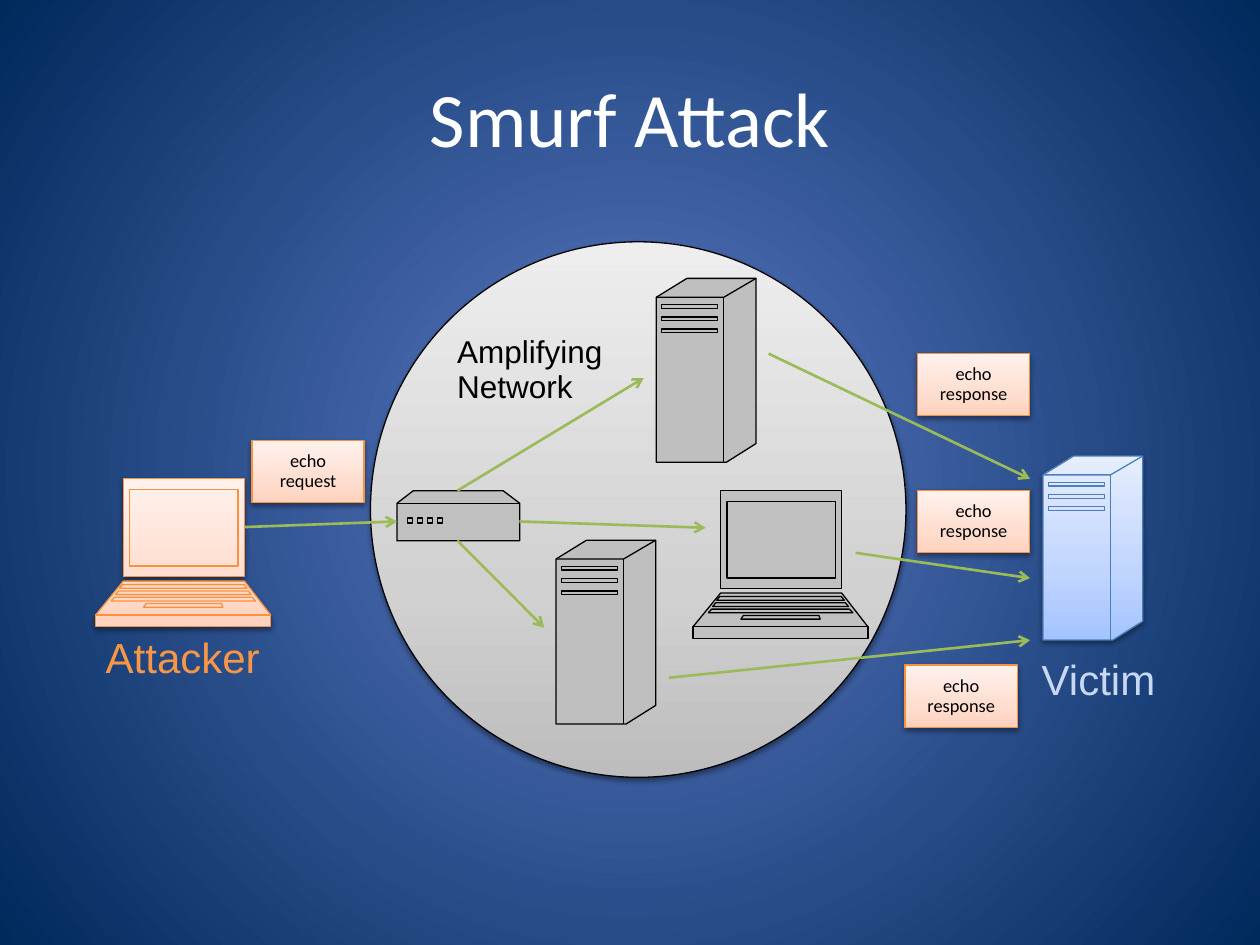
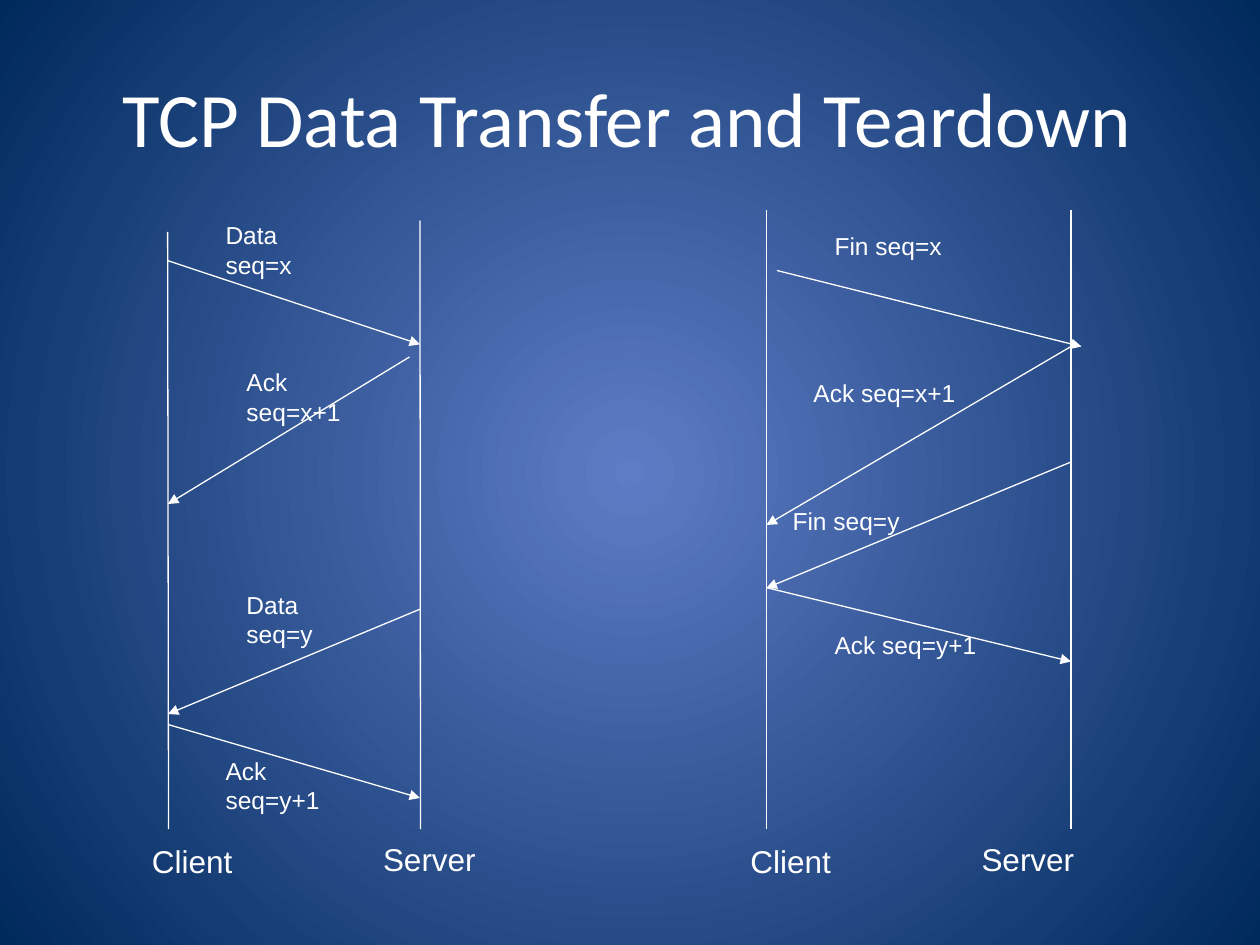
from copy import deepcopy

from lxml import etree
from pptx import Presentation
from pptx.dml.color import RGBColor
from pptx.enum.shapes import MSO_CONNECTOR, MSO_SHAPE
from pptx.enum.text import MSO_ANCHOR, MSO_AUTO_SIZE, PP_ALIGN
from pptx.oxml import parse_xml
from pptx.oxml.ns import nsdecls, qn
from pptx.util import Pt

OVAL, RECT = MSO_SHAPE.OVAL, MSO_SHAPE.RECTANGLE
STRAIGHT = MSO_CONNECTOR.STRAIGHT
LEFT, CENTER = PP_ALIGN.LEFT, PP_ALIGN.CENTER
TOP, MIDDLE = MSO_ANCHOR.TOP, MSO_ANCHOR.MIDDLE
FIT_SHAPE, FIXED = MSO_AUTO_SIZE.SHAPE_TO_FIT_TEXT, MSO_AUTO_SIZE.NONE

COLORS = {
    "white": "FFFFFF", "black": "000000", "glow": "5E7CC5", "navy": "00295C",
    "hub": "C0C0C0", "server": "BFBFBF", "arrow": "9BBB59",
    "attacker": "F79646", "attacker_line": "F69240",
    "victim": "C6D9F1", "victim_line": "4B7EBC",
}
GRADIENTS = {
    "backdrop": [(0, COLORS["glow"]), (100, COLORS["navy"])],
    "network": [(0, "BDBDBD"), (35, "D1D1D1"), (100, "EEEEEE")],
    "attacker": [(0, "FFD2BD"), (35, "FFDED0"), (100, "FFF2ED")],
    "victim": [(0, "A4C4FF"), (35, "BFD4FF"), (100, "E6EEFF")],
}
UPWARD = '<a:lin ang="16200000" scaled="0"/>'
FROM_CENTER = ('<a:path path="circle"><a:fillToRect l="50000" t="50000" '
               'r="50000" b="50000"/></a:path>')

TITLE_BOX = (36, 21.6, 648, 90)

# Smurf attack slide
NETWORK_BOX = (211.7, 138.2, 306, 306)
DEVICES = [  # kind, left, top, fill, line
    ("laptop", 54.7, 273.6, "attacker", "attacker_line"),
    ("hub", 226.8, 280.4, "hub", "black"),
    ("server", 596, 260.6, "victim", "victim_line"),
    ("server", 317.7, 308.7, "server", "black"),
    ("server", 375, 159.1, "server", "black"),
    ("laptop", 396, 280.4, "hub", "black"),
]
ATTACK_ARROWS = [
    (261.4, 280.4, 367.8, 216), (139.7, 301.2, 226.8, 298),
    (296.8, 298, 403.2, 301.6), (439.2, 202.1, 588.6, 273.6),
    (261.4, 308.9, 311, 358.7), (488.9, 315.9, 588.6, 330.4),
    (382.3, 387.3, 588.6, 365.8),
]
CAPTIONS = [  # text, box, size, colour, align, wrap
    ("Attacker", (52.6, 360, 103.7, 34.6), 24, "attacker", CENTER, False),
    ("Victim", (588.2, 372.2, 79.9, 34.6), 24, "victim", LEFT, False),
    ("Amplifying\nNetwork", (254.2, 187.9, 149, 56.9), 18, "black", LEFT, True),
]
PACKET_SIZE = (64.1, 35.6)
PACKETS = [  # \v is a line break
    ("echo\vrequest", 144, 251.7), ("echo\vresponse", 524.3, 202),
    ("echo\vresponse", 517.2, 380), ("echo\vresponse", 524.3, 280.2),
]

# TCP slide
LIFELINES = [
    (95.8, 132.5, 96.3, 473.8), (240, 126, 240.3, 473.8),
    (438, 120, 438, 473.8), (612, 120, 612, 473.8),
]
MESSAGES = [  # text, label left, top, width, height, arrow
    ("Data seq=x", 126, 126, 72, 40.3, (96, 149, 240, 196.8)),
    ("Ack seq=x+1", 138, 210, 72, 40.3, (234, 204, 96, 288)),
    ("Data seq=y", 138, 337.2, 72, 40.3, (240.3, 348, 96, 408)),
    ("Ack seq=y+1", 126, 432, 72, 40.3, (96, 414, 240, 456)),
    ("Fin seq=x", 474, 132, 96, 24.5, (444, 154.6, 618, 198)),
    ("Ack seq=x+1", 462, 216, 102, 24.5, (612, 198, 438, 300)),
    ("Fin seq=y", 450, 289.2, 120, 24.5, (612, 264, 438, 336)),
    ("Ack seq=y+1", 474, 360, 108, 24.5, (438, 335.8, 612, 378)),
]
HOSTS = [("Client", 84, 481), ("Server", 216, 480),
         ("Client", 426, 481), ("Server", 558, 480)]


def trapezoid(top_left, top_right, bottom_left, bottom_right, top, bottom):
    """Return the closed outline of a flat-topped quadrilateral."""
    return [(top_left, top), (top_right, top), (bottom_right, bottom),
            (bottom_left, bottom), (top_left, top)]


def box_outline(left, top, width, height):
    """Return the closed outline of a rectangle."""
    return trapezoid(left, left + width, left, left + width, top, top + height)


# Outlines in points from the device's corner: filled parts, then line details
DEVICE_PARTS = {
    "laptop": (
        [trapezoid(15.8, 85, 15.8, 85, 0, 55.8),
         trapezoid(15.8, 85, 0, 100, 58.5, 77.8),
         trapezoid(0, 100, 0, 100, 77.8, 84.4)],
        [trapezoid(19.4, 81.4, 19.4, 81.4, 6, 49.9),
         trapezoid(15.3, 84.8, 13.6, 86.5, 60.5, 62.6),
         trapezoid(13, 87.1, 11.3, 88.9, 64.1, 66.2),
         trapezoid(10.7, 89.4, 8.8, 91.4, 67.7, 69.8),
         trapezoid(28.8, 72, 27.4, 72.7, 71.3, 73.4)]),
    "server": (
        [[(0, 10.8), (17.5, 0), (57, 0), (57, 94.4), (40, 105.1),
          (0, 105.1), (0, 10.8)]],
        [[(0, 10.8), (38.6, 10.8), (57, 0)], [(38.6, 10.8), (38.6, 105.1)]]
        + [box_outline(3.1, 15 + 7 * slot, 32, 2.1) for slot in range(3)]),
    "hub": (
        [[(0, 7.2), (9.4, 0), (60.7, 0), (70.2, 7.2), (70.2, 28.6),
          (0, 28.6), (0, 7.2)]],
        [[(0, 7.2), (70.2, 7.2)]]
        + [box_outline(6 + 5.7 * lamp, 15.6, 2.9, 2.9) for lamp in range(4)]),
}


def rgb(name):
    """Look up a palette colour."""
    return RGBColor.from_string(COLORS[name])


def points(values):
    """Turn numbers into lengths in points."""
    return [Pt(value) for value in values]


def set_gradient(fill, properties, name, direction):
    """Put a named gradient in place of the fill held by properties."""
    fill.solid()
    stops = "".join(f'<a:gs pos="{pos * 1000}"><a:srgbClr val="{color}"/></a:gs>'
                    for pos, color in GRADIENTS[name])
    gradient = parse_xml(f'<a:gradFill {nsdecls("a")} rotWithShape="1">'
                         f'<a:gsLst>{stops}</a:gsLst>{direction}</a:gradFill>')
    properties.replace(properties.find(qn("a:solidFill")), gradient)


def style_shape(shape, fill, line):
    """Set fill and outline; gradient shapes also cast a soft shadow."""
    shape.line.color.rgb = rgb(line)
    shape.line.width = Pt(0.75)
    shape.shadow.inherit = False
    if fill not in GRADIENTS:
        shape.fill.solid()
        shape.fill.fore_color.rgb = rgb(fill)
        return
    properties = shape.element.spPr
    set_gradient(shape.fill, properties, fill, UPWARD)
    properties.find(qn("a:effectLst")).append(parse_xml(
        f'<a:outerShdw {nsdecls("a")} blurRad="{Pt(3.1)}" dist="{Pt(1.6)}" '
        'dir="5400000" rotWithShape="0"><a:srgbClr val="000000">'
        '<a:alpha val="38000"/></a:srgbClr></a:outerShdw>'))


def write_text(shape, text, *, size, color="white", font="Arial", align=LEFT,
               anchor=TOP, wrap=True, fit=FIXED, spacing=1.0, before=0,
               insets=(7.2, 3.6, 7.2, 3.6)):
    """Fill a shape with text, one paragraph for each line."""
    frame = shape.text_frame
    frame.word_wrap, frame.auto_size = wrap, fit
    frame.vertical_anchor = anchor
    (frame.margin_left, frame.margin_top,
     frame.margin_right, frame.margin_bottom) = points(insets)
    frame.text = text
    for paragraph in frame.paragraphs:
        paragraph.alignment = align
        paragraph.line_spacing = spacing
        paragraph.space_before = Pt(before)
        for run in paragraph.runs:
            run.font.size, run.font.name = Pt(size), font
            run.font.color.rgb = rgb(color)


def add_label(slide, text, box, **style):
    """Add a text box."""
    write_text(slide.shapes.add_textbox(*points(box)), text, **style)


def add_line(slide, ends, color="white", width=0.75, head=None):
    """Add a straight line, with an arrowhead at its end if one is named."""
    line = slide.shapes.add_connector(STRAIGHT, *points(ends))
    line.line.color.rgb = rgb(color)
    line.line.width = Pt(width)
    etree.SubElement(line.element.spPr, qn("a:effectLst"))
    if head:
        etree.SubElement(line.get_or_add_ln(), qn("a:tailEnd"), type=head)


def add_device(slide, kind, left, top, fill, line):
    """Draw a device as one freeform with a separate path per outline."""
    bodies, details = DEVICE_PARTS[kind]
    outlines = [[(Pt(left + x), Pt(top + y)) for x, y in outline]
                for outline in bodies + details]
    builder = slide.shapes.build_freeform(*outlines[0][0], scale=1.0)
    for number, outline in enumerate(outlines):
        if number:
            builder.move_to(*outline[0])
        builder.add_line_segments(outline[1:], close=outline[0] == outline[-1])
    device = builder.convert_to_shape()
    style_shape(device, fill, line)

    whole = device.element.find(".//" + qn("a:path"))
    path_list = whole.getparent()
    empty = deepcopy(whole)
    for step in list(empty):
        empty.remove(step)
    for step in list(whole):
        if step.tag == qn("a:moveTo"):
            part = deepcopy(empty)
            path_list.append(part)
            if len(path_list) - 1 > len(bodies):
                part.set("fill", "none")
        part.append(step)
    path_list.remove(whole)


def add_slide(deck, title, insets=(7.2, 3.6, 7.2, 3.6)):
    """Add a blank slide with the shared title style."""
    slide = deck.slides.add_slide(deck.slide_layouts[6])
    add_label(slide, title, TITLE_BOX, size=44, font="Calibri", align=CENTER,
              anchor=MIDDLE, insets=insets)
    return slide


def build_smurf_slide(deck):
    """Show the attacker, the amplifying network and the victim."""
    slide = add_slide(deck, "Smurf Attack")
    network = slide.shapes.add_shape(OVAL, *points(NETWORK_BOX))
    style_shape(network, "network", "black")
    for device in DEVICES:
        add_device(slide, *device)
    for ends in ATTACK_ARROWS:
        add_line(slide, ends, "arrow", 1.5, "arrow")
    for text, box, size, color, align, wrap in CAPTIONS:
        add_label(slide, text, box, size=size, color=color, align=align,
                  wrap=wrap, fit=FIT_SHAPE, spacing=0.93)
    for text, left, top in PACKETS:
        packet = slide.shapes.add_shape(RECT, *points((left, top) + PACKET_SIZE))
        style_shape(packet, "attacker", "attacker_line")
        write_text(packet, text, size=10.5, color="black", font="Calibri",
                   align=CENTER, anchor=MIDDLE, spacing=0.93)


def build_tcp_slide(deck):
    """Show the two message sequences between client and server."""
    slide = add_slide(deck, "TCP Data Transfer and Teardown",
                      insets=(7.2, 3.6, 10, 3.6))
    label_insets = (2.9, 0, 2.9, 0)
    for ends in LIFELINES:
        add_line(slide, ends)
    for text, left, top, width, height, ends in MESSAGES:
        add_line(slide, ends, head="triangle")
        add_label(slide, text, (left, top, width, height), size=14, before=8.8,
                  insets=label_insets)
    for text, left, top in HOSTS:
        add_label(slide, text, (left, top, 72, 28), size=18, before=11.2,
                  insets=label_insets)


deck = Presentation()
deck.slide_width, deck.slide_height = Pt(720), Pt(540)
master = deck.slide_master
backdrop = master.background.fill
backdrop.solid()
set_gradient(backdrop, master.element.find(".//" + qn("p:bgPr")),
             "backdrop", FROM_CENTER)
build_smurf_slide(deck)
build_tcp_slide(deck)
deck.save("out.pptx")
